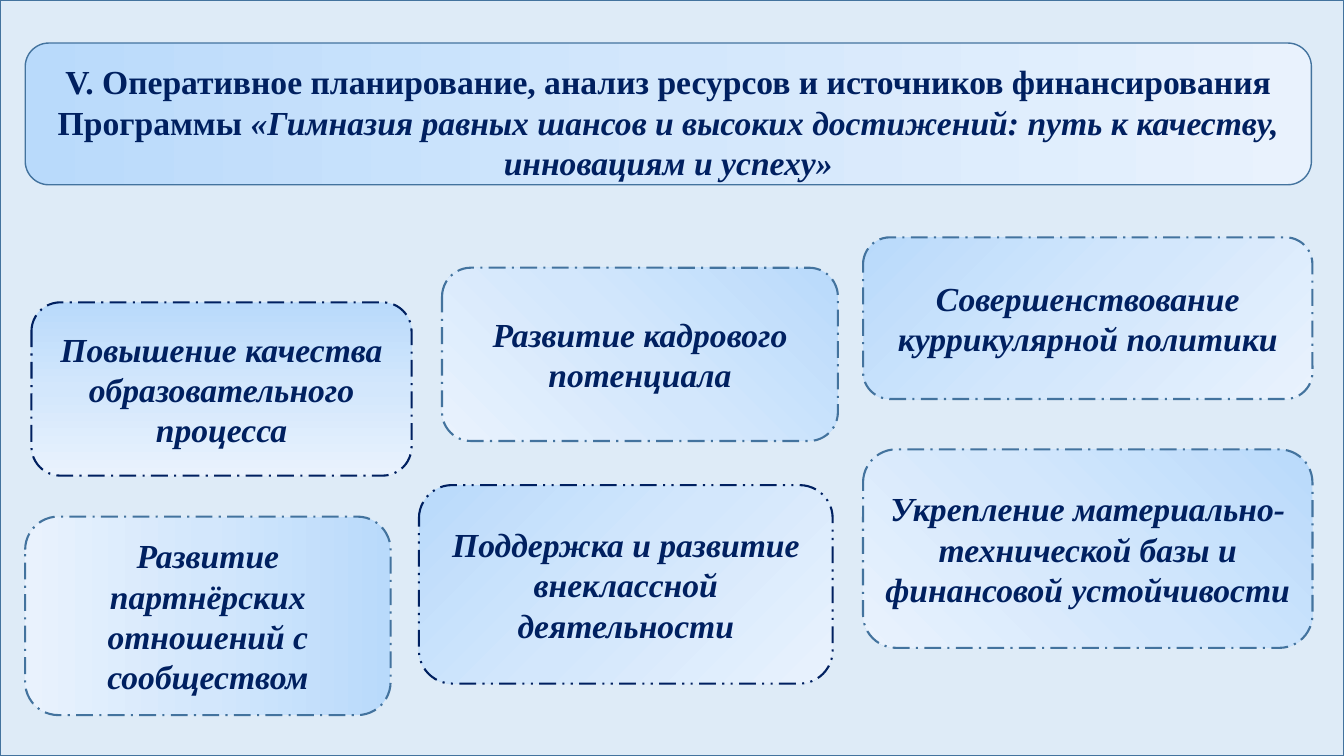
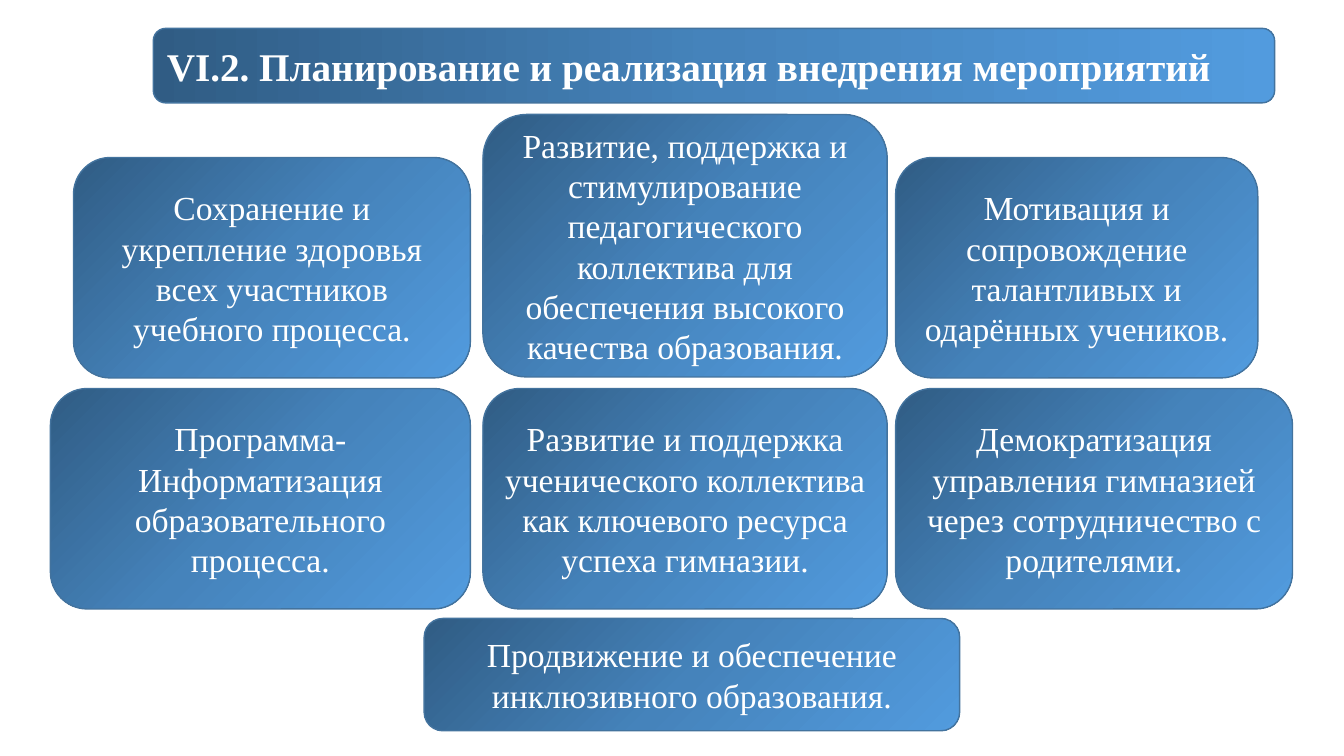
"""Build two slides of gradient panels about planning in a gymnasium."""
from copy import deepcopy

from pptx import Presentation
from pptx.dml.color import RGBColor
from pptx.enum.dml import MSO_LINE
from pptx.enum.shapes import MSO_SHAPE
from pptx.enum.text import MSO_ANCHOR, PP_ALIGN
from pptx.oxml.ns import qn
from pptx.util import Emu, Pt

PX = 9525
FONT = "Times New Roman"
COLORS = {
    "backdrop": "DEEBF7",
    "outline": "43739E",
    "navy": "002060",
    "white": "FFFFFF",
}
GRADIENTS = {
    "light": ("B9DAFB", "D3E7FC", "E9F2FD"),
    "dark": ("305C84", "4583BB", "529BDE"),
}
TEXT_COLORS = {"light": "navy", "dark": "white"}
DASH_DOT = MSO_LINE.LONG_DASH_DOT
DASH_DOT_DOT = MSO_LINE.DASH_DOT_DOT

PRIORITIES = [
    ((30, 288, 362, 165), 90, "navy", DASH_DOT,
     "Повышение качества образовательного процесса"),
    ((399, 462, 394, 189), 45, "navy", DASH_DOT_DOT,
     "Поддержка и развитие внеклассной деятельности"),
    ((421, 255, 377, 165), 135, "outline", DASH_DOT,
     "Развитие кадрового потенциала"),
    ((822, 428, 428, 189), 135, "outline", DASH_DOT,
     "Укрепление материально-технической базы и финансовой устойчивости"),
    ((822, 226, 428, 154), 45, "outline", DASH_DOT,
     "Совершенствование куррикулярной политики"),
    ((24, 492, 348, 189), 180, "outline", DASH_DOT,
     "Развитие партнёрских отношений с сообществом"),
]
ACTIVITIES = [
    ((70, 150, 378, 210),
     "Сохранение и укрепление здоровья всех участников учебного процесса."),
    ((460, 109, 385, 250),
     "Развитие, поддержка и стимулирование педагогического коллектива "
     "для обеспечения высокого качества образования."),
    ((853, 150, 345, 210),
     "Мотивация и сопровождение талантливых и одарённых учеников."),
    ((48, 370, 400, 210),
     "Программа- Информатизация образовательного процесса."),
    ((460, 370, 385, 210),
     "Развитие и поддержка ученического коллектива как ключевого ресурса "
     "успеха гимназии."),
    ((853, 370, 378, 210),
     "Демократизация управления гимназией через сотрудничество с родителями."),
    ((404, 589, 510, 107),
     "Продвижение и обеспечение инклюзивного образования."),
]


def px(length):
    """Turn pixels into EMU."""
    return Emu(length * PX)


def rgb(name):
    """Look up a named colour."""
    return RGBColor.from_string(COLORS[name])


def add_box(slide, kind, box, line="outline", width=1):
    """Add an outlined shape without a shadow."""
    shape = slide.shapes.add_shape(kind, *map(px, box))
    shape.shadow.inherit = False
    shape.line.color.rgb = rgb(line)
    shape.line.width = Pt(width)
    return shape


def fill_gradient(shape, stops, angle):
    """Fill a shape with three even stops at a clockwise angle."""
    shape.fill.gradient()
    shape.fill.gradient_angle = -angle % 360
    first = next(shape.element.iter(qn("a:gs")))
    first.addnext(deepcopy(first))
    for index, (stop, color) in enumerate(zip(shape.fill.gradient_stops, stops)):
        stop.position = index / 2
        stop.color.rgb = RGBColor.from_string(color)


def format_run(run, color, size, bold, italic):
    """Apply the shared typeface and the given look to a run."""
    run.font.name = FONT
    run.font.size = Pt(size)
    run.font.bold = bold
    run.font.italic = italic
    run.font.color.rgb = rgb(color)


def add_panel(slide, box, text, theme, angle=45, line="outline", width=1,
              size=24, bold=False, italic=False, align=PP_ALIGN.CENTER):
    """Add a rounded gradient panel with text."""
    panel = add_box(slide, MSO_SHAPE.ROUNDED_RECTANGLE, box, line, width)
    fill_gradient(panel, GRADIENTS[theme], angle)
    frame = panel.text_frame
    frame.word_wrap = True
    frame.vertical_anchor = MSO_ANCHOR.MIDDLE
    frame.text = text
    paragraph = frame.paragraphs[0]
    paragraph.alignment = align
    format_run(paragraph.runs[0], TEXT_COLORS[theme], size, bold, italic)
    return panel


def add_title(slide, box, text, theme, **style):
    """Add a bold title band shaded from left to right."""
    return add_panel(slide, box, text, theme, angle=0, bold=True, **style)


def build_priorities(slide):
    """Fill the slide on planning, resources and funding."""
    backdrop = add_box(slide, MSO_SHAPE.RECTANGLE, (0, 0, 1280, 720))
    backdrop.fill.solid()
    backdrop.fill.fore_color.rgb = rgb("backdrop")
    title = add_title(
        slide, (24, 41, 1225, 135),
        "V. Оперативное планирование, анализ ресурсов и источников "
        "финансирования Программы ", "light")
    frame = title.text_frame
    frame.margin_top, frame.margin_bottom = px(19), px(4)
    programme = frame.paragraphs[0].add_run()
    programme.text = ("«Гимназия равных шансов и высоких достижений: "
                      "путь к качеству, инновациям и успеху»")
    format_run(programme, "navy", 24, True, True)
    for box, angle, line, dash, text in PRIORITIES:
        panel = add_panel(slide, box, text, "light", angle, line, 1.5,
                          bold=True, italic=True)
        panel.line.dash_style = dash


def build_activities(slide):
    """Fill the slide on the activities to carry out."""
    add_title(slide, (146, 27, 1068, 71),
              "VI.2. Планирование и реализация внедрения мероприятий",
              "dark", size=28, align=PP_ALIGN.LEFT)
    for box, text in ACTIVITIES:
        add_panel(slide, box, text, "dark")


def main():
    """Build and save the presentation."""
    presentation = Presentation()
    presentation.slide_width = px(1280)
    presentation.slide_height = px(720)
    blank = presentation.slide_layouts[6]
    for build in (build_priorities, build_activities):
        build(presentation.slides.add_slide(blank))
    presentation.save("out.pptx")


if __name__ == "__main__":
    main()
